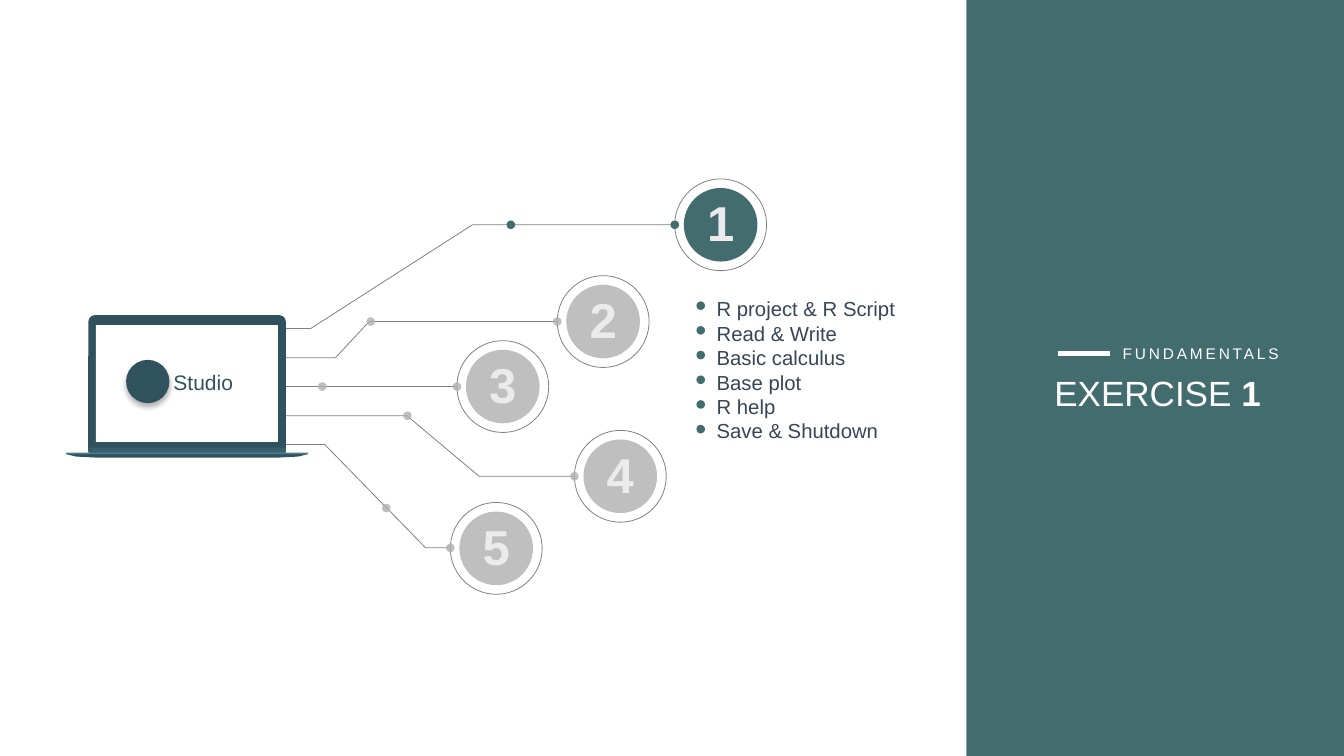
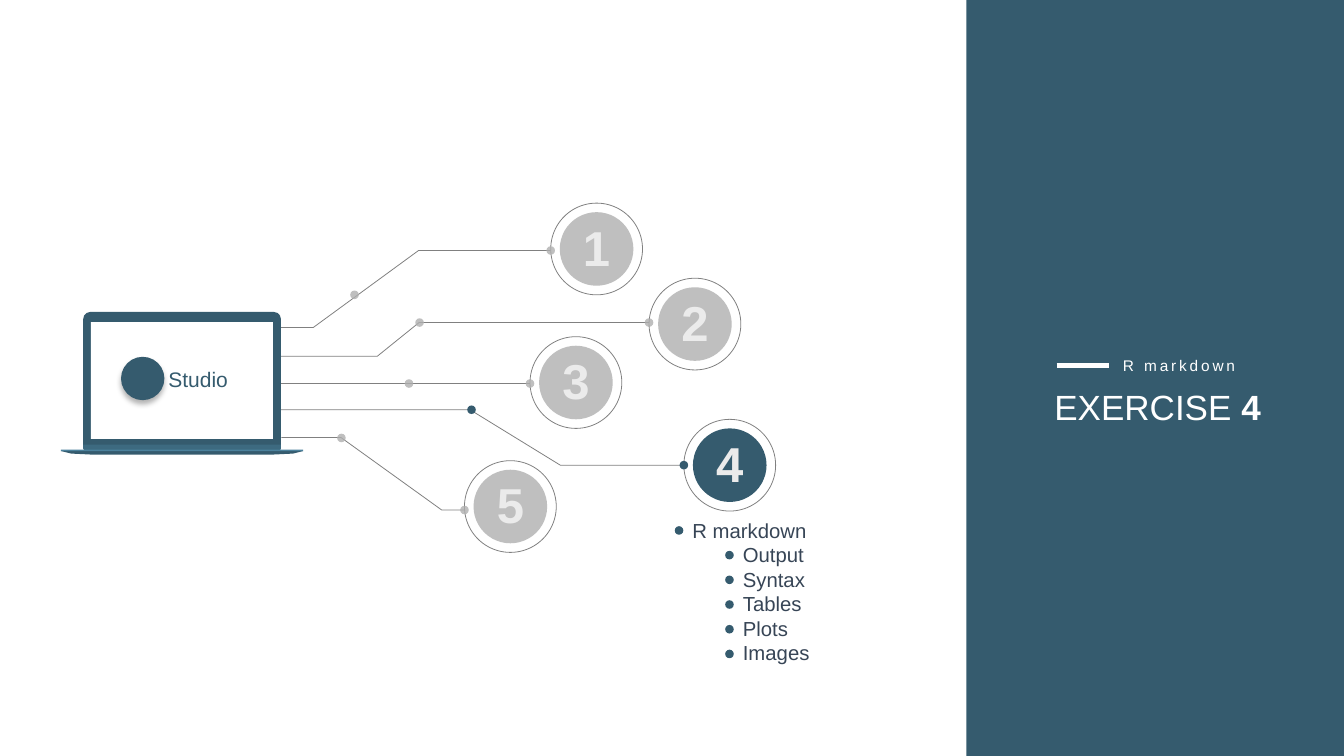
"""Builds two exercise divider slides with a laptop and five numbered stops."""
from lxml import etree
from pptx import Presentation
from pptx.dml.color import RGBColor
from pptx.enum.shapes import MSO_CONNECTOR, MSO_SHAPE
from pptx.enum.text import MSO_ANCHOR, MSO_AUTO_SIZE, PP_ALIGN
from pptx.oxml.ns import qn
from pptx.util import Inches, Pt

OVAL, RECT, CASE = MSO_SHAPE.OVAL, MSO_SHAPE.RECTANGLE, MSO_SHAPE.ROUND_2_SAME_RECTANGLE
STRAIGHT = MSO_CONNECTOR.STRAIGHT
LEFT, CENTER = PP_ALIGN.LEFT, PP_ALIGN.CENTER
TOP, MIDDLE = MSO_ANCHOR.TOP, MSO_ANCHOR.MIDDLE
NO_FIT = MSO_AUTO_SIZE.NONE

WHITE = RGBColor(0xFF, 0xFF, 0xFF)
BLACK = RGBColor(0x00, 0x00, 0x00)
GREEN = RGBColor(0x43, 0x6C, 0x6E)
BLUE = RGBColor(0x35, 0x5B, 0x6E)
DARK_TEAL = RGBColor(0x30, 0x52, 0x5E)
TEAL_BASE = RGBColor(0x38, 0x5F, 0x6D)
TEAL_EDGE = RGBColor(0x4A, 0x7D, 0x8F)
BLUE_BASE = RGBColor(0x3D, 0x6A, 0x80)
BLUE_EDGE = RGBColor(0x4B, 0x81, 0x9C)
INACTIVE = RGBColor(0xAF, 0xAF, 0xAF)
DIGIT = RGBColor(0xEB, 0xEB, 0xEB)
GREY = RGBColor(0x80, 0x80, 0x80)
TOPIC = RGBColor(0x37, 0x45, 0x56)

FONT = "Arial"
RING, DISC, DOT = 1.82, 1.46, 0.17
TOPIC_PITCH = 0.49
HAIRLINE = Pt(1.13)

EXERCISES = [
    {
        "number": 1, "tag": "FUNDAMENTALS", "tag_at": (21.82, 6.78),
        "title_top": 7.33, "dash": (20.97, 7.02),
        "accent": GREEN, "case": DARK_TEAL, "base": TEAL_BASE, "edge": TEAL_EDGE,
        "laptop": (1.75, 6.25),
        "topics": [("R project & R Script", 0), ("Read & Write", 0), ("Basic calculus", 0),
                   ("Base plot", 0), ("R help", 0), ("Save & Shutdown", 0)],
        "topics_at": (14.15, 5.82, 3.66, 3.03), "bullets_at": (13.81, 5.98),
        "stops": [
            {"center": (14.29, 4.46), "route": [(5.12, 6.52), (6.16, 6.52), (9.37, 4.46)],
             "end": 4.46, "dot": (10.13, 4.46)},
            {"center": (11.96, 6.38), "route": [(4.44, 7.1), (6.65, 7.1), (7.32, 6.38)],
             "end": 6.38, "dot": (7.35, 6.38)},
            {"center": (9.97, 7.67), "route": [(4.89, 7.67)],
             "end": 7.67, "dot": (6.39, 7.67)},
            {"center": (12.3, 9.45), "route": [(4.52, 8.25), (8.07, 8.25), (9.5, 9.45)],
             "end": 9.45, "dot": (8.08, 8.25)},
            {"center": (9.84, 10.88), "route": [(5.26, 8.82), (6.44, 8.82), (8.44, 10.87)],
             "end": 10.87, "dot": (7.66, 10.08)},
        ],
    },
    {
        "number": 4, "tag": "R markdown", "tag_at": (21.39, 7.01),
        "title_top": 7.59, "dash": (20.95, 7.25),
        "accent": BLUE, "case": BLUE, "base": BLUE_BASE, "edge": BLUE_EDGE,
        "laptop": (1.65, 6.19),
        "topics": [("R markdown", 0), ("Output", 1), ("Syntax", 1),
                   ("Tables", 1), ("Plots", 1), ("Images", 1)],
        "topics_at": (13.67, 10.22, 2.45, 3.03), "bullets_at": (13.38, 10.44),
        "stops": [
            {"center": (11.83, 4.94), "route": [(5.54, 6.5), (6.21, 6.5), (8.3, 4.97)],
             "end": 4.97, "dot": (7.03, 5.85)},
            {"center": (13.78, 6.43), "route": [(4.77, 7.07), (7.48, 7.07), (8.31, 6.4)],
             "end": 6.4, "dot": (8.32, 6.4)},
            {"center": (11.42, 7.59), "route": [(5.21, 7.61)],
             "end": 7.61, "dot": (8.11, 7.61)},
            {"center": (14.47, 9.23), "route": [(4.84, 8.13), (9.32, 8.13), (11.11, 9.23)],
             "end": 9.23, "dot": (9.35, 8.13)},
            {"center": (10.12, 10.05), "route": [(5.58, 8.68), (6.76, 8.68), (8.76, 10.12)],
             "end": 10.12, "dot": (6.77, 8.69)},
        ],
    },
]


def write(box, text, *, size, color, bold=False, bold_tail="", align=LEFT,
          anchor=TOP, inset=0.05, wrap=True, tracking=None):
    """Fill a box with text, one paragraph per line, and return its frame."""
    frame = box.text_frame
    frame.auto_size, frame.word_wrap, frame.vertical_anchor = NO_FIT, wrap, anchor
    frame.margin_left = frame.margin_right = Inches(inset)
    frame.margin_top = frame.margin_bottom = Inches(inset)
    frame.text = text
    if bold_tail:
        frame.paragraphs[-1].add_run().text = bold_tail
    for paragraph in frame.paragraphs:
        paragraph.alignment = align
        for run in paragraph.runs:
            run.font.name, run.font.size = FONT, Pt(size)
            run.font.color.rgb = color
            run.font.bold = bold or run.text == bold_tail
            if tracking:
                run.font._element.set("spc", str(tracking))
    return frame


def add_block(slide, preset, left, top, width, height, fill=None, alpha=None):
    """Add a filled preset shape, or a thin grey outline when no fill is given."""
    block = slide.shapes.add_shape(preset, Inches(left), Inches(top), Inches(width), Inches(height))
    block.shadow.inherit = False
    if fill is None:
        block.fill.background()
        block.line.color.rgb, block.line.width = GREY, HAIRLINE
    else:
        block.fill.solid()
        block.fill.fore_color.rgb = fill
        block.line.fill.background()
    if alpha:
        color = block._element.spPr.find(qn("a:solidFill")).find(qn("a:srgbClr"))
        etree.SubElement(color, qn("a:alpha"), val=str(alpha * 1000))
    return block


prs = Presentation()
prs.slide_width, prs.slide_height = Inches(26.65), Inches(15)

for exercise in EXERCISES:
    slide = prs.slides.add_slide(prs.slide_layouts[5])
    shapes = slide.shapes
    accent = exercise["accent"]

    add_block(slide, RECT, 19.16, -0.06, 7.59, 15.13, accent)
    title = shapes.title
    title.left, title.top = Inches(20.04), Inches(exercise["title_top"])
    title.width, title.height = Inches(5.83), Inches(1.69)
    write(title, "EXERCISE ", bold_tail=str(exercise["number"]), size=50, color=WHITE, align=CENTER)
    shapes._spTree.append(title._element)

    tag_left, tag_top = exercise["tag_at"]
    tag = shapes.add_textbox(Inches(tag_left), Inches(tag_top), Inches(3.98), Inches(0.41))
    write(tag, exercise["tag"], size=22, color=WHITE, align=CENTER, tracking=410)
    dash_left, dash_y = exercise["dash"]
    dash = shapes.add_connector(STRAIGHT, Inches(dash_left), Inches(dash_y),
                                Inches(dash_left + 1.05), Inches(dash_y))
    dash.line.color.rgb, dash.line.width = WHITE, Pt(7)
    etree.SubElement(dash._element.spPr, qn("a:effectLst"))

    topics = shapes.add_textbox(*[Inches(length) for length in exercise["topics_at"]])
    topic_frame = write(topics, "\n".join(topic for topic, _ in exercise["topics"]), size=29,
                        color=TOPIC, anchor=MIDDLE, inset=0.06, wrap=False)
    bullet_left, bullet_top = exercise["bullets_at"]
    for row, (_, level) in enumerate(exercise["topics"]):
        paragraph = topic_frame.paragraphs[row]
        paragraph.line_spacing = Pt(34.9)
        if level:
            paragraph.level = level
            properties = paragraph._p.get_or_add_pPr()
            properties.set("marL", str(Inches(level)))
            properties.set("indent", "0")
        add_block(slide, OVAL, bullet_left + level, bullet_top + row * TOPIC_PITCH, DOT, DOT, accent)

    for number, stop in enumerate(exercise["stops"], start=1):
        center_x, center_y = stop["center"]
        fill, alpha = (accent, None) if number == exercise["number"] else (INACTIVE, 80)
        arrival = (center_x - RING / 2, stop["end"])

        start, *bends = [(Inches(x), Inches(y)) for x, y in stop["route"] + [arrival]]
        if len(bends) == 1:
            route = shapes.add_connector(STRAIGHT, *start, *bends[0])
            etree.SubElement(route._element.spPr, qn("a:effectLst"))
        else:
            outline = shapes.build_freeform(*start)
            outline.add_line_segments(bends, close=False)
            route = outline.convert_to_shape()
            route.fill.background()
            route.shadow.inherit = False
        route.line.color.rgb, route.line.width = GREY, HAIRLINE

        add_block(slide, OVAL, center_x - DISC / 2, center_y - DISC / 2, DISC, DISC, fill, alpha)
        add_block(slide, OVAL, center_x - RING / 2, center_y - RING / 2, RING, RING)
        for dot_x, dot_y in (stop["dot"], arrival):
            add_block(slide, OVAL, dot_x - DOT / 2, dot_y - DOT / 2, DOT, DOT, fill, alpha)
        digit = shapes.add_textbox(Inches(center_x - 0.32), Inches(center_y - 0.68),
                                   Inches(0.62), Inches(1.42))
        write(digit, str(number), size=70, color=DIGIT, bold=True)

    left, top = exercise["laptop"]
    case = add_block(slide, CASE, left, top, 3.92, 2.75, exercise["case"])
    case.adjustments[0], case.adjustments[1] = 0.05, 0.02
    base = add_block(slide, CASE, left, top + 2.63, 3.92, 0.12, exercise["base"])
    base.adjustments[0], base.adjustments[1] = 0, 0.45
    add_block(slide, RECT, left + 0.15, top + 0.2, 3.61, 2.32, WHITE)

    rim = [(0, 0), (0.2, 0.05), (0.61, 0.07), (4.19, 0.07), (4.6, 0.05), (4.8, 0)]
    foot_start, *foot_rim = [(Inches(left - 0.44 + x), Inches(top + 2.76 + y)) for x, y in rim]
    foot_outline = shapes.build_freeform(*foot_start)
    foot_outline.add_line_segments(foot_rim, close=True)
    foot = foot_outline.convert_to_shape()
    foot.shadow.inherit = False
    foot.fill.solid()
    foot.fill.fore_color.rgb = exercise["case"]
    foot.line.fill.background()
    add_block(slide, RECT, left - 0.44, top + 2.73, 4.8, 0.03, exercise["edge"])

    ball = add_block(slide, OVAL, left + 0.75, top + 0.89, 0.86, 0.86, exercise["case"])
    effects = ball._element.spPr.find(qn("a:effectLst"))
    shadow = etree.SubElement(effects, qn("a:outerShdw"), blurRad=str(Pt(8)), dist=str(Pt(6)),
                              dir="5400000", rotWithShape="0")
    shade = etree.SubElement(shadow, qn("a:srgbClr"), val=str(BLACK))
    etree.SubElement(shade, qn("a:alpha"), val="30000")
    studio = shapes.add_textbox(Inches(left + 1.63), Inches(top + 0.93), Inches(1.33), Inches(0.8))
    write(studio, "Studio", size=30, color=exercise["case"], anchor=MIDDLE, inset=0.06)

prs.save("out.pptx")
